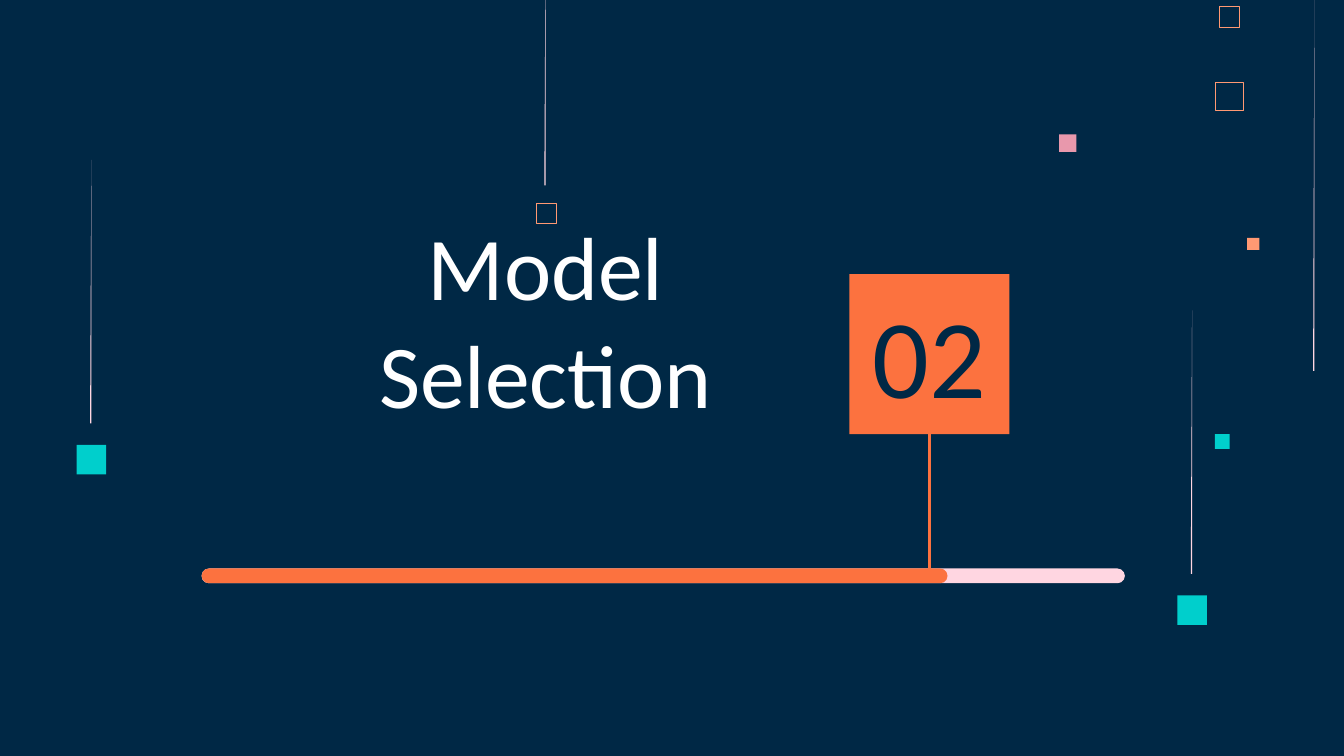
import dataclasses

import pptx
import pptx.dml.color
import pptx.enum.shapes
import pptx.enum.text
import pptx.oxml.ns
import pptx.util
from lxml import etree

Inches = pptx.util.Inches
SHAPE = pptx.enum.shapes.MSO_SHAPE
ANCHOR = pptx.enum.text.MSO_ANCHOR


@dataclasses.dataclass(frozen=True)
class Theme:
    navy: str = "002845"
    white: str = "FFFFFF"
    orange: str = "FC723F"
    peach: str = "FF9973"
    teal: str = "00CFCC"
    rose: str = "E898AC"
    blush: str = "FFD6E1"
    font: str = "Calibri"
    title_size: int = 48
    number_size: int = 60


THEME = Theme()


def rgb(color):
    return pptx.dml.color.RGBColor.from_string(color)


def paint(shape, fill=None, line=None, weight=0.32):
    shape.shadow.inherit = False
    if fill:
        shape.fill.solid()
        shape.fill.fore_color.rgb = rgb(fill)
    else:
        shape.fill.background()
    if line:
        shape.line.color.rgb = rgb(line)
        shape.line.width = pptx.util.Pt(weight)
    else:
        shape.line.fill.background()


def add_box(page, left, top, width, height, kind=SHAPE.RECTANGLE, **style):
    box = page.shapes.add_shape(kind, Inches(left), Inches(top), Inches(width), Inches(height))
    paint(box, **style)
    return box


def add_streak(page, left, top, height):
    """Thin streak that tapers to a point at its top."""
    right, bottom = left + 0.01, top + height
    outline = page.shapes.build_freeform(Inches(right), Inches(top))
    outline.add_line_segments([(Inches(left), Inches(bottom)), (Inches(right), Inches(bottom))])
    paint(outline.convert_to_shape(), fill=THEME.blush)


def write(box, text, size, color, anchor):
    frame = box.text_frame
    frame.word_wrap = True
    frame.auto_size = pptx.enum.text.MSO_AUTO_SIZE.NONE
    frame.vertical_anchor = anchor
    frame.margin_left = frame.margin_right = Inches(0.1)
    frame.margin_top = frame.margin_bottom = Inches(0.1)
    para = frame.paragraphs[0]
    para.alignment = pptx.enum.text.PP_ALIGN.CENTER
    para.space_before = pptx.util.Pt(0)
    span = para.add_run()
    span.text = text
    span.font.name = THEME.font
    span.font.size = pptx.util.Pt(size)
    span.font.color.rgb = rgb(color)


def place(box, left, top, width, height):
    box.left, box.top = Inches(left), Inches(top)
    box.width, box.height = Inches(width), Inches(height)


def add_decoration(page):
    # Loose squares: left, top, side, style
    squares = [
        (7.88, 1, 0.13, {"fill": THEME.rose}),
        (9.04, 3.23, 0.11, {"fill": THEME.teal}),
        (9.04, 0.61, 0.21, {"line": THEME.peach, "weight": 0.45}),
        (9.07, 0.05, 0.15, {"line": THEME.peach}),
        (9.28, 1.77, 0.09, {"fill": THEME.peach}),
        (3.99, 1.51, 0.15, {"line": THEME.peach}),
    ]
    for left, top, side, style in squares:
        add_box(page, left, top, side, side, **style)
    # Loose streaks
    add_streak(page, 4.05, -0.48, 1.86)
    add_streak(page, 9.77, 0, 2.76)
    # Streaks that end above a teal square
    for left, top in [(8.76, 2.31), (0.57, 1.19)]:
        add_streak(page, left + 0.1, top, 1.96)
        add_box(page, left, top + 2.12, 0.22, 0.22, fill=THEME.teal)


def add_number(page, number, left, top, side):
    add_box(page, left, top, side, side, fill=THEME.orange)
    # Raise the placeholder above the tile
    number_box = page.placeholders[1]
    page.shapes.element.append(number_box.element)
    place(number_box, left + 0.06, top + 0.28, side - 0.12, 0.63)
    write(number_box, number, THEME.number_size, THEME.navy, ANCHOR.MIDDLE)


def add_progress(page, left, top, width, done, marker, marker_top):
    for length, color in [(width, THEME.blush), (done, THEME.orange)]:
        bar = add_box(page, left, top, length, 0.11, SHAPE.ROUNDED_RECTANGLE, fill=color)
        bar.adjustments[0] = 0.5
    stem = page.shapes.add_connector(
        pptx.enum.shapes.MSO_CONNECTOR.STRAIGHT,
        Inches(marker), Inches(marker_top), Inches(marker), Inches(top + 0.07))
    stem.line.color.rgb = rgb(THEME.orange)
    stem.line.width = pptx.util.Pt(1.5)
    etree.SubElement(stem.element.spPr, pptx.oxml.ns.qn("a:effectLst"))


def add_section_page(deck, title, number):
    page = deck.slides.add_slide(deck.slide_layouts[0])
    page.background.fill.solid()
    page.background.fill.fore_color.rgb = rgb(THEME.navy)
    add_decoration(page)
    # Title
    title_box = page.shapes.title
    page.shapes.element.append(title_box.element)
    place(title_box, 2.3, 2.35, 3.52, 0.92)
    write(title_box, title, THEME.title_size, THEME.white, ANCHOR.BOTTOM)
    # Number tile, with the progress marker below its centre
    left, top, side = 6.32, 2.04, 1.19
    add_number(page, number, left, top, side)
    add_progress(page, 1.5, 4.23, 6.87, done=5.55, marker=left + side / 2, marker_top=top + side)


deck = pptx.Presentation()
# Widescreen, 16:9
deck.slide_width, deck.slide_height = Inches(10), Inches(10 * 9 / 16)
add_section_page(deck, "Model Selection", "02")
deck.save("out.pptx")
